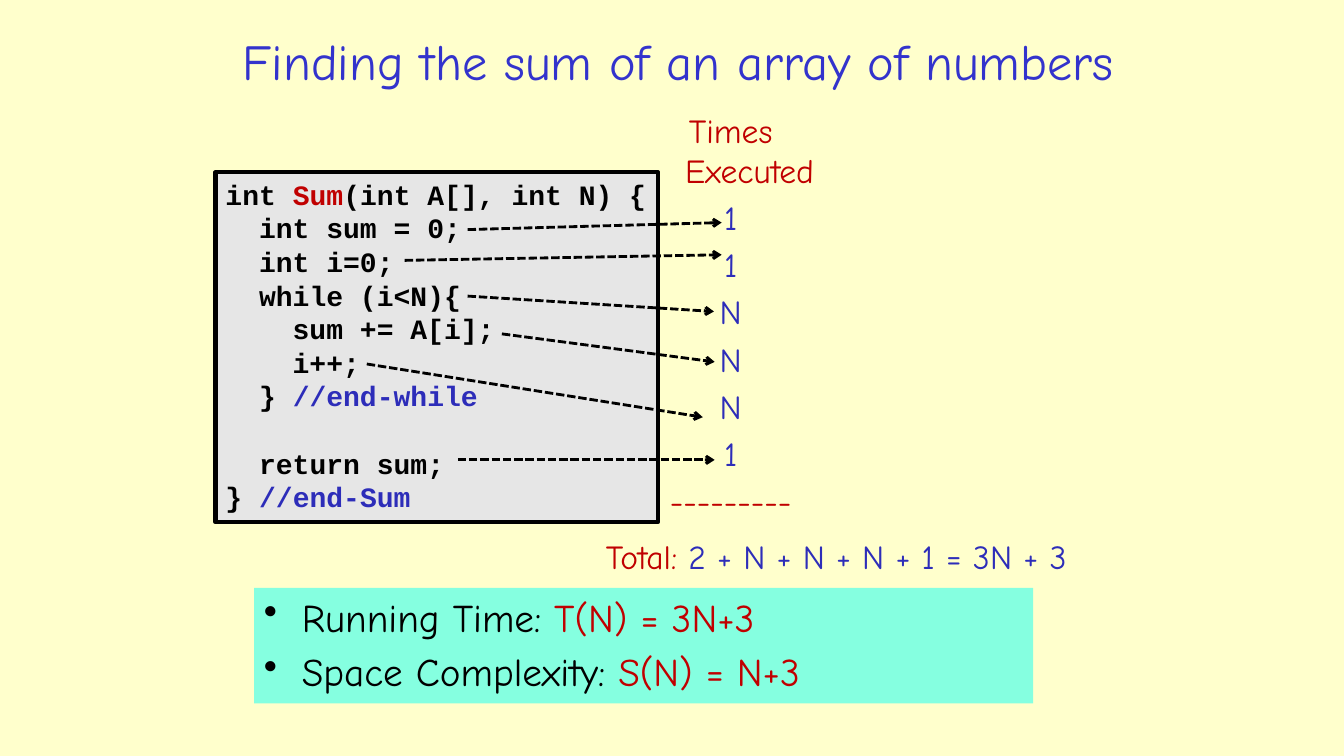
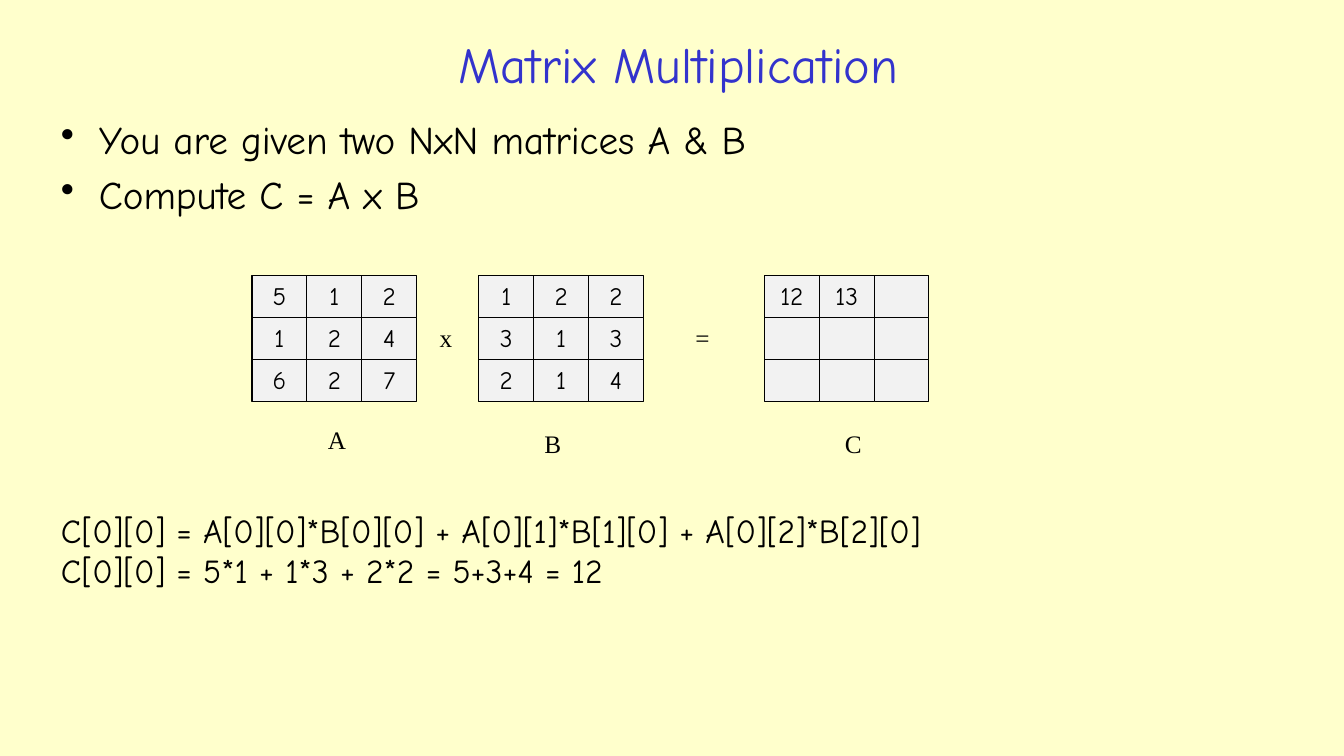
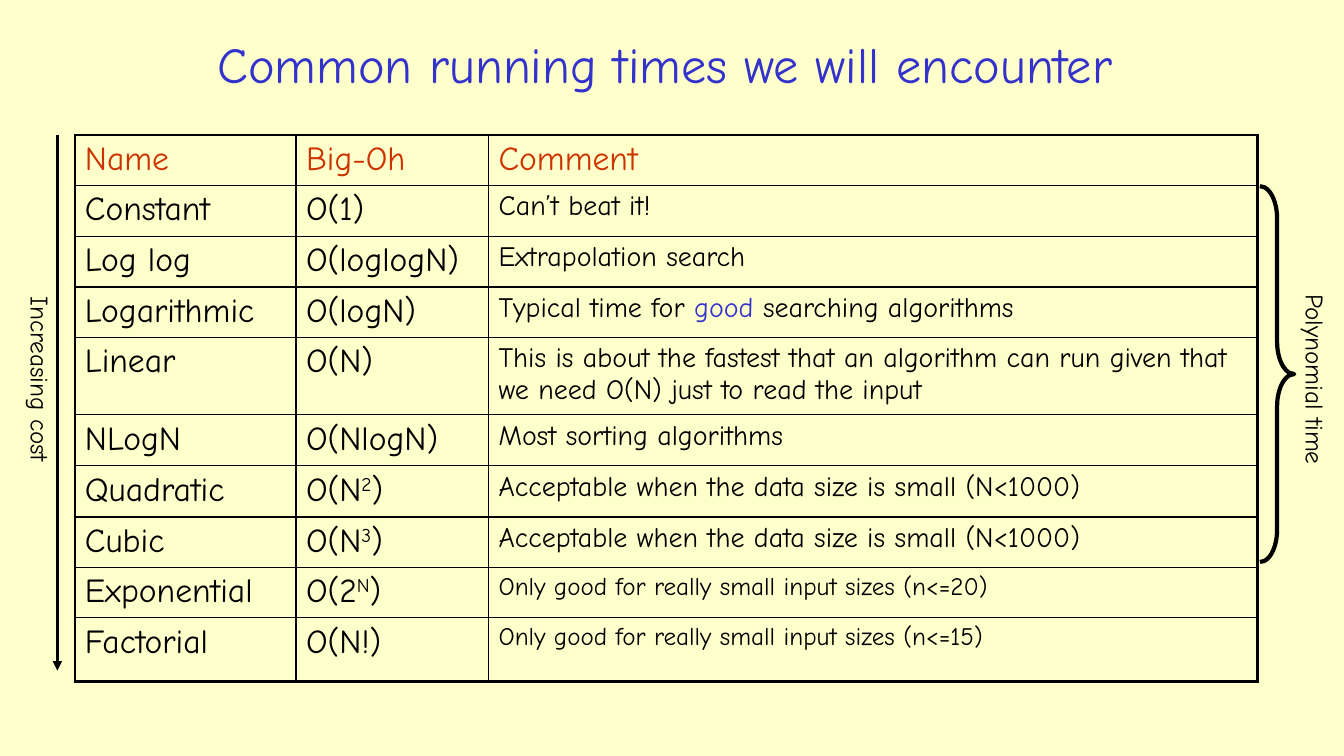
from pptx import Presentation
from pptx.dml.color import RGBColor
from pptx.enum.dml import MSO_LINE
from pptx.enum.shapes import MSO_CONNECTOR, MSO_SHAPE
from pptx.enum.text import MSO_ANCHOR, PP_ALIGN
from pptx.oxml.ns import qn
from pptx.util import Pt
from lxml.etree import SubElement

# Shared look
CREAM = RGBColor(0xFF, 0xFF, 0xCC)
BLACK = RGBColor(0x00, 0x00, 0x00)
TITLE_BLUE = RGBColor(0x33, 0x33, 0xCC)
BLUE = RGBColor(0x2D, 0x2D, 0xB9)
RED = RGBColor(0xC0, 0x00, 0x00)
ORANGE = RGBColor(0xCC, 0x33, 0x00)
MINT = RGBColor(0x85, 0xFF, 0xE0)
CODE_GREY = RGBColor(0xE6, 0xE6, 0xE6)
CELL_GREY = RGBColor(0xF2, 0xF2, 0xF2)
HAND, MONO, SERIF = "Comic Neue", "Courier New", "Times New Roman"
HANG = 27
LEADING = 1.2

# Slide 1 content: (indent in characters, runs, space before)
CODE = [
    (0, [("int ", BLACK), ("Sum", RED), ("(int A[], int N) {", BLACK)], 0),
    (2, [("int sum = 0;", BLACK)], 0),
    (2, [("int i=0;", BLACK)], 0),
    (2, [("while (i<N){", BLACK)], 0),
    (4, [("sum += A[i];", BLACK)], 0),
    (4, [("i++;", BLACK)], 0),
    (2, [("} ", BLACK), ("//end-while", BLUE)], 0),
    (2, [("return sum;", BLACK)], 24),
    (0, [("} ", BLACK), ("//end-Sum", BLUE)], 0),
]
COUNTS = ["1", "1", "N", "N", "N", "1"]
TIMES = [[("Times Executed", RED)], *[[(count, BLUE)] for count in COUNTS],
         [("---------", RED)]]
TOTAL = [[("Total: ", RED), ("2 + N + N + N + 1 = 3N + 3", BLUE)]]
COMPLEXITY = [
    [("Running Time: ", BLACK), ("T(N) = 3N+3", RED)],
    [("Space Complexity: ", BLACK), ("S(N) = N+3", RED)],
]
COUNT_ARROWS = [
    (334, 164, 515.5, 159), (289, 186, 515.5, 182), (334, 211.5, 510, 222.5),
    (358.5, 238.5, 510.5, 258.5), (262, 260, 502, 298), (327, 328.5, 510.5, 328.5),
]

# Slide 2 content
TASK = [[("You are given two NxN matrices A & B", BLACK)],
        [("Compute C = A x B", BLACK)]]
MATRICES = [
    (180, [["5", "1", "2"], ["1", "2", "4"], ["6", "2", "7"]]),
    (342, [["1", "2", "2"], ["3", "1", "3"], ["2", "1", "4"]]),
    (546, [["12", "13", ""], ["", "", ""], ["", "", ""]]),
]
MATRIX_TOP, CELL_W, CELL_H = 196.5, 39.2, 30.2
SYMBOLS = [("x", 318.6, 226.8), ("=", 501.8, 226.8), ("A", 240.8, 299.5),
           ("B", 394.9, 302.4), ("C", 609.5, 302.4)]
WORKING = [
    [("C[0][0] = A[0][0]*B[0][0] + A[0][1]*B[1][0] + A[0][2]*B[2][0]", BLACK)],
    [("C[0][0] = 5*1 + 1*3 + 2*2 = 5+3+4 = 12", BLACK)],
]

# Slide 3 content: (name, base, exponent, close, comment, comment size)
SMALL_DATA = "Acceptable when the data size is small (N<1000)"
RUNNING_TIMES = [
    ("Constant", "O(1)", "", "", "Can’t beat it!", 20),
    ("Log log", "O(loglogN)", "", "", "Extrapolation search", 20),
    ("Logarithmic", "O(logN)", "", "", "Typical time for |good| searching algorithms", 20),
    ("Linear", "O(N)", "", "", "This is about the fastest that an algorithm can run "
     "given that we need O(N) just to read the input", 20),
    ("NLogN", "O(NlogN)", "", "", "Most sorting algorithms", 20),
    ("Quadratic", "O(N", "2", ")", SMALL_DATA, 20),
    ("Cubic", "O(N", "3", ")", SMALL_DATA, 20),
    ("Exponential", "O(2", "N", ")", "Only good for really small input sizes (n<=20)", 18),
    ("Factorial", "O(N!)", "", "", "Only good for really small input sizes (n<=15)", 18),
]
HEADINGS = ["Name", "Big-Oh", "Comment"]
COL_WIDTHS = [158, 137.5, 549.5]
ROW_HEIGHTS = [36, 36.5, 35.5, 35, 53, 36.5, 36.5, 35, 34.5, 45.5]
SIDE_LABELS = [("Increasing cost", -43.2, 262), ("Polynomial time", 867.6, 260.6)]


def add_runs(paragraph, runs, size, font=HAND, bold=False):
    """Each run is (text, colour) or (text, colour, is_superscript)."""
    for text, colour, *raised in runs:
        run = paragraph.add_run()
        run.text = text
        for key, value in {"name": font, "size": Pt(size), "bold": bold}.items():
            setattr(run.font, key, value)
        run.font.color.rgb = colour
        if any(raised):
            run._r.get_or_add_rPr().set("baseline", "30000")


def indent(paragraph, left, first=0):
    props = paragraph._p.get_or_add_pPr()
    props.set("marL", str(Pt(left)))
    props.set("indent", str(Pt(first)))
    return props


def write(shape, paragraphs, size, font=HAND, align=PP_ALIGN.LEFT, hang=False,
          bullet=False, bold=False, wrap=True, anchor=MSO_ANCHOR.TOP):
    frame = shape.text_frame
    frame.word_wrap = wrap
    frame.vertical_anchor = anchor
    for i, runs in enumerate(paragraphs):
        paragraph = frame.paragraphs[0] if i == 0 else frame.add_paragraph()
        layout = {"alignment": align, "line_spacing": Pt(size * LEADING),
                  "space_before": Pt(size * 0.2 if hang and i else 0)}
        for key, value in layout.items():
            setattr(paragraph, key, value)
        if hang:
            props = indent(paragraph, HANG, -HANG)
            if bullet:
                SubElement(props, qn("a:buChar")).set("char", "•")
        add_runs(paragraph, runs, size, font, bold)
    return shape


def text_box(slide, box, paragraphs, size, **style):
    return write(slide.shapes.add_textbox(*map(Pt, box)), paragraphs, size, **style)


def add_box(slide, box, fill=None, line=None, kind=MSO_SHAPE.RECTANGLE):
    shape = slide.shapes.add_shape(kind, *map(Pt, box))
    shape.shadow.inherit = False
    if fill is None:
        shape.fill.background()
    else:
        shape.fill.solid()
        shape.fill.fore_color.rgb = fill
    if line is None:
        shape.line.fill.background()
    else:
        shape.line.color.rgb = BLACK
        shape.line.width = Pt(line)
    return shape


def add_arrow(slide, ends, width, head, dash=None):
    arrow = slide.shapes.add_connector(MSO_CONNECTOR.STRAIGHT, *map(Pt, ends))
    arrow.line.color.rgb = BLACK
    arrow.line.width = Pt(width)
    if dash:
        arrow.line.dash_style = dash
    SubElement(arrow.line._get_or_add_ln(), qn("a:tailEnd")).set("type", head)
    SubElement(arrow._element.spPr, qn("a:effectLst"))


def border(cell, widths):
    props = cell._tc.get_or_add_tcPr()
    for i, (side, width) in enumerate(widths.items()):
        line = props.makeelement(qn(f"a:ln{side}"), {"w": str(Pt(width))})
        props.insert(i, line)
        fill = SubElement(line, qn("a:solidFill"))
        SubElement(fill, qn("a:srgbClr")).set("val", str(BLACK))


def new_slide(prs, title, box):
    slide = prs.slides.add_slide(prs.slide_layouts[6])
    text_box(slide, box, [[(title, TITLE_BLUE)]], 36, align=PP_ALIGN.CENTER,
             anchor=MSO_ANCHOR.MIDDLE)
    return slide


def sum_slide(prs):
    slide = new_slide(prs, "Finding the sum of an array of numbers", (141, 11, 687, 64))
    text_box(slide, (446.4, 75, 151, 306), TIMES, 24, align=PP_ALIGN.CENTER, hang=True)
    text_box(slide, (394.5, 379.5, 405.5, 42), TOTAL, 24, align=PP_ALIGN.CENTER, hang=True)
    write(add_box(slide, (181.5, 420, 556.5, 82.5), MINT), COMPLEXITY, 28,
          hang=True, bullet=True)

    # Code listing
    listing = add_box(slide, (154, 123, 316, 250), CODE_GREY, 3)
    write(listing, [runs for _, runs, _ in CODE], 20, font=MONO, bold=True)
    for paragraph, (chars, _, gap) in zip(listing.text_frame.paragraphs, CODE):
        indent(paragraph, chars * 12)
        paragraph.space_before = Pt(gap)
    for ends in COUNT_ARROWS:
        add_arrow(slide, ends, 2, "arrow", MSO_LINE.SQUARE_DOT)


def matrix_slide(prs):
    slide = new_slide(prs, "Matrix Multiplication", (141, 11, 687, 68))
    text_box(slide, (36.5, 79, 888.5, 117), TASK, 28, hang=True, bullet=True)
    for left, rows in MATRICES:
        for r, row in enumerate(rows):
            for c, number in enumerate(row):
                cell = add_box(slide, (left + c * CELL_W, MATRIX_TOP + r * CELL_H,
                                       CELL_W, CELL_H), CELL_GREY, 0.75)
                if number:
                    write(cell, [[(number, BLACK)]], 18, align=PP_ALIGN.CENTER)
    for symbol, centre, top in SYMBOLS:
        text_box(slide, (centre - 14, top, 28, 29), [[(symbol, BLACK)]], 18,
                 font=SERIF, align=PP_ALIGN.CENTER, wrap=False)
    text_box(slide, (36.5, 360.5, 888.5, 65.5), WORKING, 24)


def running_times_slide(prs):
    slide = new_slide(prs, "Common running times we will encounter", (28, 15, 893.5, 60.5))

    # Table
    rows = [[([(heading, ORANGE)], 24) for heading in HEADINGS]]
    for name, base, exponent, close, comment, size in RUNNING_TIMES:
        order = [(base, BLACK)]
        if exponent:
            order += [(exponent, BLACK, True), (close, BLACK)]
        remark = [(part, TITLE_BLUE if i % 2 else BLACK)
                  for i, part in enumerate(comment.split("|"))]
        rows.append([([(name, BLACK)], 24), (order, 24), (remark, size)])
    last_row, last_col = len(rows) - 1, len(HEADINGS) - 1
    table = slide.shapes.add_table(
        len(rows), len(HEADINGS), Pt(53.5), Pt(96.5),
        Pt(sum(COL_WIDTHS)), Pt(sum(ROW_HEIGHTS))).table
    table.first_row = table.horz_banding = False
    for column, width in zip(table.columns, COL_WIDTHS):
        column.width = Pt(width)
    for r, (row, height) in enumerate(zip(rows, ROW_HEIGHTS)):
        table.rows[r].height = Pt(height)
        for c, (runs, size) in enumerate(row):
            cell = table.cell(r, c)
            cell.fill.background()
            add_runs(cell.text_frame.paragraphs[0], runs, size)
            outer = {"L": c == 0, "R": c == last_col, "T": r == 0, "B": r == last_row}
            border(cell, {side: 2.25 if edge else 1 for side, edge in outer.items()})

    # Cost arrow, brace and their labels
    add_arrow(slide, (41, 96.5, 41, 479), 2.25, "triangle")
    brace = add_box(slide, (900, 133, 24.5, 268.5), line=3, kind=MSO_SHAPE.RIGHT_BRACE)
    brace.adjustments[0] = 0.94
    for label, left, top in SIDE_LABELS:
        text_box(slide, (left, top, 144, 29), [[(label, BLACK)]], 18).rotation = 90


def main():
    prs = Presentation()
    prs.slide_width, prs.slide_height = Pt(960), Pt(540)
    backdrop = prs.slide_master.background.fill
    backdrop.solid()
    backdrop.fore_color.rgb = CREAM
    for build in (sum_slide, matrix_slide, running_times_slide):
        build(prs)
    prs.save("out.pptx")


if __name__ == "__main__":
    main()
